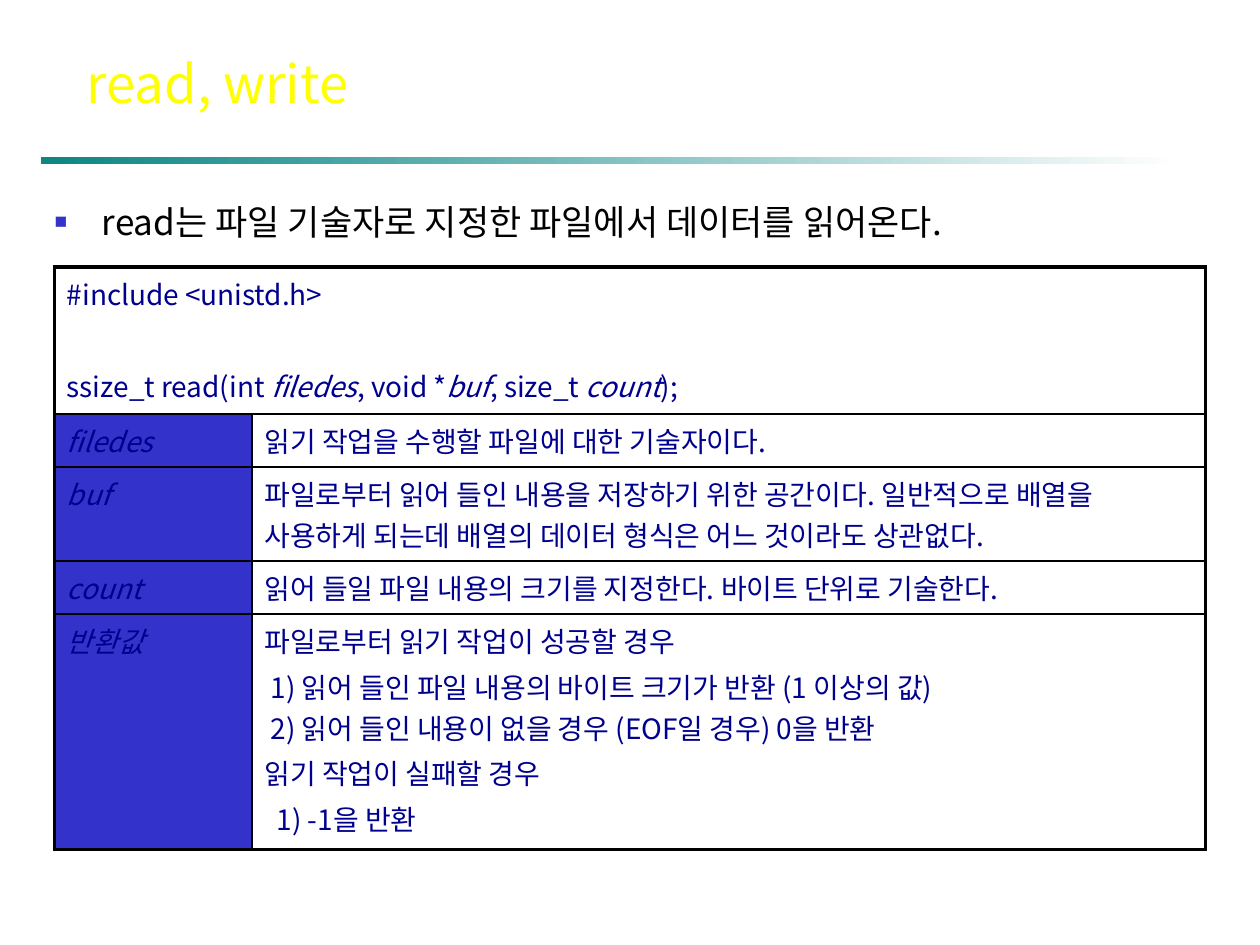
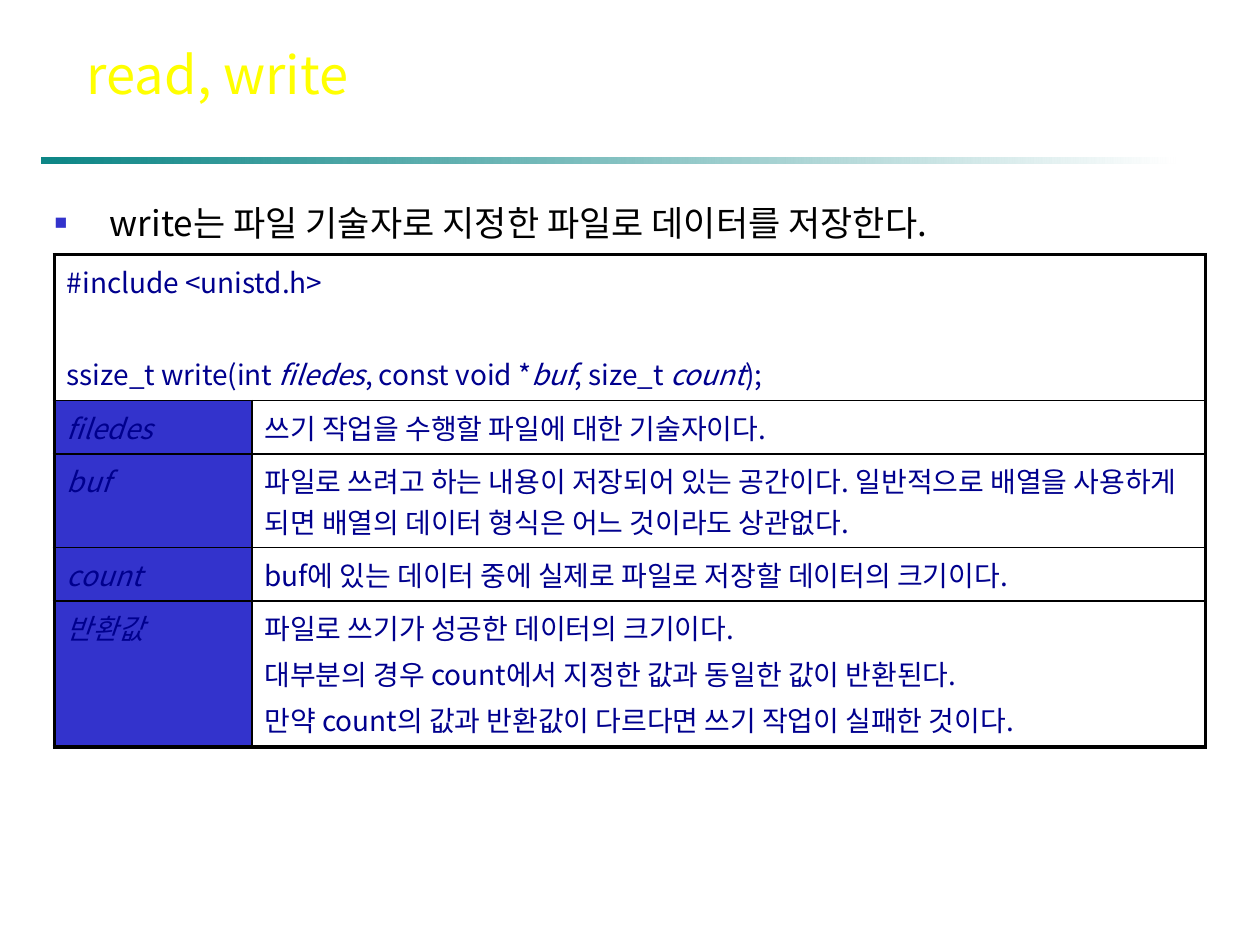
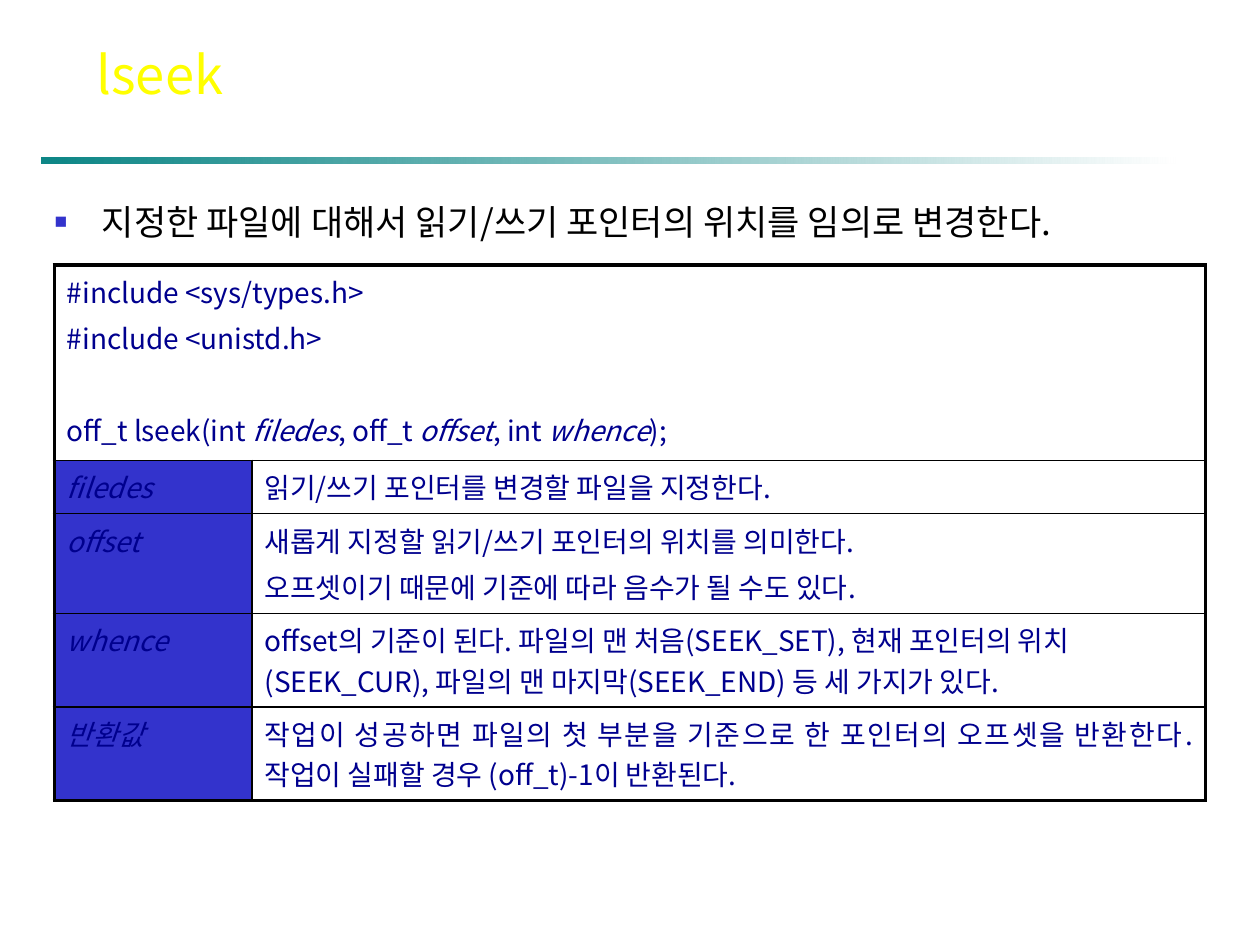
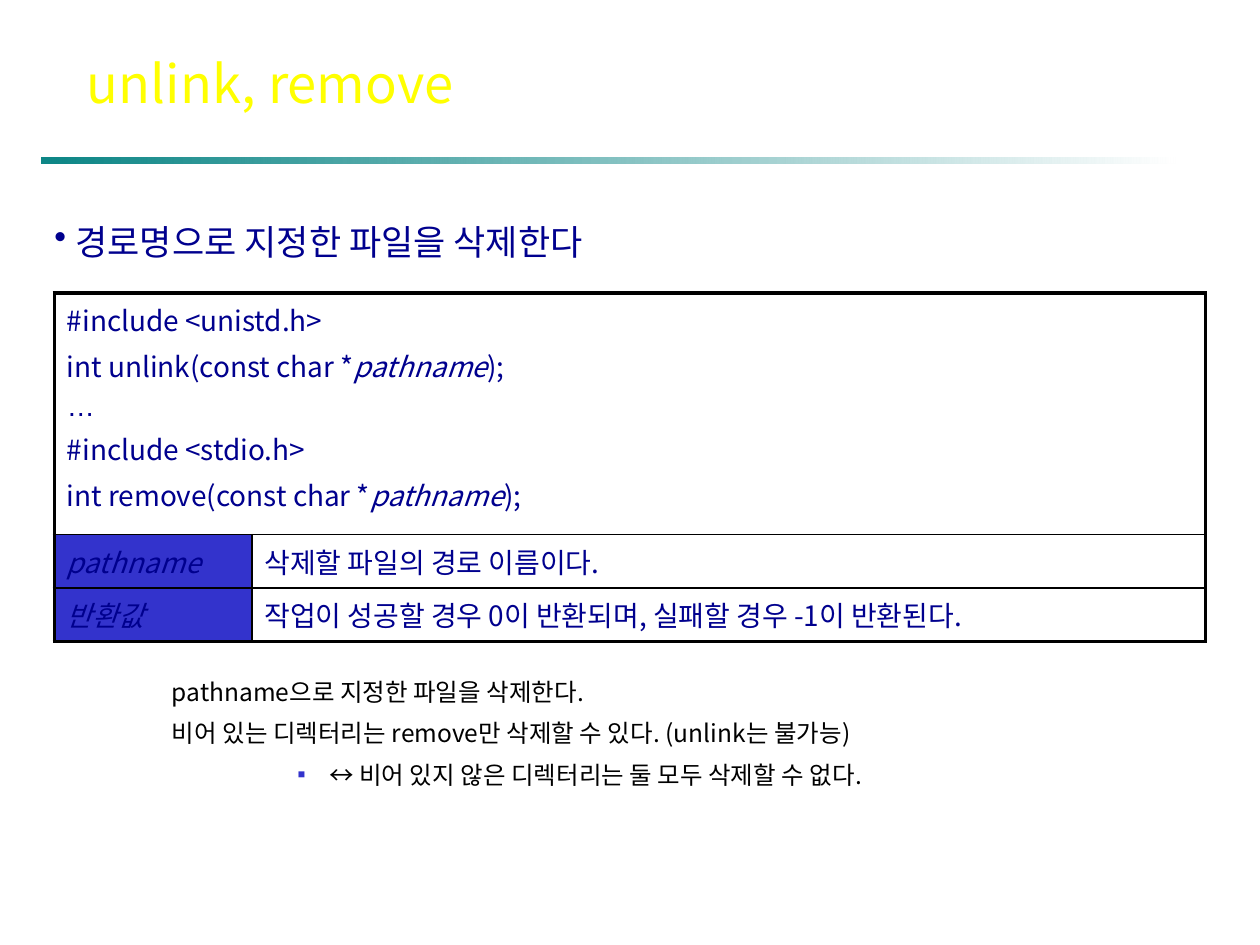
from lxml import etree
from pptx import Presentation
from pptx.dml.color import RGBColor
from pptx.enum.shapes import MSO_SHAPE
from pptx.enum.text import MSO_ANCHOR, MSO_AUTO_SIZE, PP_ALIGN
from pptx.oxml.ns import qn
from pptx.util import Pt

RECTANGLE = MSO_SHAPE.RECTANGLE
MIDDLE = MSO_ANCHOR.MIDDLE
NO_FIT = MSO_AUTO_SIZE.NONE
LEFT, JUSTIFY = PP_ALIGN.LEFT, PP_ALIGN.JUSTIFY

COLORS = {"title": "FFFF00", "text": "000000", "code": "00008E",
          "label": "3333CC", "teal": "008080", "white": "FFFFFF"}
FONT, ELLIPSIS_FONT = "Noto Sans CJK KR", "Arial"
THICK, THIN = 2.25, 1
CODE_SIZE = 16
CODE_GAP = 3.2      # space between paragraphs in a cell
BLANK_LINE = 29.6   # space that sets the prototype apart from its includes
LABEL_WIDTH, TEXT_WIDTH = 113, 545
TABLE_LEFT = 31
SUMMARY_BOX = (24, 111, 672, 34)


def rgb(name):
    return RGBColor.from_string(COLORS[name])


def add_element(parent, tag, **attributes):
    return etree.SubElement(parent, qn(tag), attributes)


def format_run(run, size, color, italic=False):
    font = run.font
    font.size, font.italic = Pt(size), italic
    font.color.rgb = rgb(color)
    font.name = ELLIPSIS_FONT if run.text == "…" else FONT
    add_element(font._element, "a:ea", typeface=FONT)


def set_indent(paragraph, margin, first=0):
    properties = paragraph._p.get_or_add_pPr()
    properties.set("marL", str(Pt(margin)))
    properties.set("indent", str(Pt(first)))
    return properties


def set_bullet(paragraph, margin, hanging, char, color, percent):
    properties = set_indent(paragraph, margin, -hanging)
    if not char:
        add_element(properties, "a:buNone")
        return
    clr = add_element(properties, "a:buClr")
    add_element(clr, "a:srgbClr", val=COLORS[color])
    add_element(properties, "a:buSzPct", val=str(percent * 1000))
    add_element(properties, "a:buChar", char=char)


def place(shape, box):
    shape.left, shape.top, shape.width, shape.height = map(Pt, box)
    frame = shape.text_frame
    frame.word_wrap, frame.auto_size = True, NO_FIT
    return frame


# Band under the title, shared through the layout
def add_band(slide, layout):
    band = slide.shapes.add_shape(RECTANGLE, Pt(24), Pt(90), Pt(648), Pt(3.6))
    band.shadow.inherit = False
    band.line.fill.background()
    band.fill.gradient()
    band.fill.gradient_angle = 0
    start, end = band.fill.gradient_stops
    start.position, end.position = 0, 1
    start.color.rgb, end.color.rgb = rgb("teal"), rgb("white")
    teal = next(band.element.iter(qn("a:srgbClr")))
    add_element(teal, "a:alpha", val="95000")
    layout.shapes.element.insert(2, band.element)


# Yellow title with a text shadow
def fill_title(slide, text, left, top):
    frame = place(slide.shapes.title, (left, top, 467, 49))
    frame.vertical_anchor = MIDDLE
    frame.text = text
    paragraph = frame.paragraphs[0]
    paragraph.alignment = LEFT
    run = paragraph.runs[0]
    format_run(run, 30, "title")
    effects = etree.Element(qn("a:effectLst"))
    shadow = add_element(effects, "a:outerShdw", dist=str(Pt(2)), dir="2700000")
    add_element(shadow, "a:srgbClr", val=COLORS["text"])
    run.font._element.find(qn("a:solidFill")).addnext(effects)


# One-line summary in the body placeholder
def fill_summary(slide, text, box=SUMMARY_BOX, margin=27):
    frame = place(slide.placeholders[1], box)
    frame.text = text
    paragraph = frame.paragraphs[0]
    set_bullet(paragraph, margin, margin, "■", "label", 60)
    paragraph.space_before = Pt(0)
    format_run(paragraph.runs[0], 20, "text")


# Summary in a text box, in the code colour
def add_code_summary(slide, text, box):
    frame = place(slide.shapes.add_textbox(*map(Pt, box)), box)
    frame.text = text
    paragraph = frame.paragraphs[0]
    set_bullet(paragraph, 12, 12, "•", "code", 100)
    format_run(paragraph.runs[0], 20, "code")


# Notes below the table: (text, level, margin, hanging, bullet)
def fill_notes(slide, notes, box):
    frame = place(slide.placeholders[1], box)
    frame.text = "\n".join(note[0] for note in notes)
    for i, (paragraph, note) in enumerate(zip(frame.paragraphs, notes)):
        _, level, margin, hanging, char = note
        paragraph.level = level
        set_bullet(paragraph, margin, hanging, char, "label", 50)
        paragraph.line_spacing = 1.3
        paragraph.space_before = Pt(2 if i else 0)
        format_run(paragraph.runs[0], 14, "text")


def set_borders(cell, widths):
    properties = cell._tc.get_or_add_tcPr()
    for side, width in widths.items():
        line = add_element(properties, "a:ln" + side, w=str(Pt(width)))
        add_element(add_element(line, "a:solidFill"), "a:srgbClr",
                    val=COLORS["text"])


# A line is a text, or (text, space before, indent); |bars| enclose italics
def fill_cell(cell, lines, alignment=LEFT):
    frame = cell.text_frame
    for i, line in enumerate(lines):
        text, gap, indent = (line, CODE_GAP, 0) if isinstance(line, str) else line
        paragraph = frame.add_paragraph() if i else frame.paragraphs[0]
        paragraph.alignment = alignment
        paragraph.space_before = Pt(gap if i else 0)
        if indent:
            set_indent(paragraph, indent)
        for j, part in enumerate(text.split("|")):
            if part:
                run = paragraph.add_run()
                run.text = part
                format_run(run, CODE_SIZE, "code", italic=j % 2 == 1)


# Function reference: code across the top, then a label and text per row
def add_reference(slide, top, heights, code, entries, justify_last=False):
    count = len(heights)
    table = slide.shapes.add_table(
        count, 2, Pt(TABLE_LEFT), Pt(top),
        Pt(LABEL_WIDTH + TEXT_WIDTH), Pt(sum(heights))).table
    table.first_row = table.horz_banding = False
    for column, width in zip(table.columns, (LABEL_WIDTH, TEXT_WIDTH)):
        column.width = Pt(width)
    for row, height in zip(table.rows, heights):
        row.height = Pt(height)
    table.cell(0, 0).merge(table.cell(0, 1))

    for r in range(count):
        for c in range(2):
            cell = table.cell(r, c)
            widths = {"L": THIN if c else THICK,
                      "R": THICK if c or r == 0 else THIN,
                      "T": THIN if r else THICK,
                      "B": THICK if r == count - 1 else THIN}
            if cell.is_spanned:
                del widths["L"]
            set_borders(cell, widths)
            if r and c == 0:
                cell.fill.solid()
                cell.fill.fore_color.rgb = rgb("label")
            else:
                cell.fill.background()

    fill_cell(table.cell(0, 0), code)
    for r, (label, lines) in enumerate(entries, 1):
        last = justify_last and r == count - 1
        fill_cell(table.cell(r, 0), [f"|{label}|"])
        fill_cell(table.cell(r, 1), lines, JUSTIFY if last else LEFT)


def build_read(slide):
    fill_title(slide, "read, write", 42.5, 22.5)
    fill_summary(slide, "read는 파일 기술자로 지정한 파일에서 데이터를 읽어온다.")
    add_reference(slide, 152.5, (84, 30.5, 53.5, 30.5, 134.5), [
        "#include <unistd.h>",
        ("ssize_t read(int |filedes|, void *|buf|, size_t |count|);", BLANK_LINE, 0),
    ], [
        ("filedes", ["읽기 작업을 수행할 파일에 대한 기술자이다."]),
        ("buf", ["파일로부터 읽어 들인 내용을 저장하기 위한 공간이다. 일반적으로 배열을 "
                 "사용하게 되는데 배열의 데이터 형식은 어느 것이라도 상관없다."]),
        ("count", ["읽어 들일 파일 내용의 크기를 지정한다. 바이트 단위로 기술한다."]),
        ("반환값", [
            "파일로부터 읽기 작업이 성공할 경우",
            ("1) 읽어 들인 파일 내용의 바이트 크기가 반환 (1 이상의 값)", CODE_GAP, 3.5),
            ("2) 읽어 들인 내용이 없을 경우 (EOF일 경우) 0을 반환", 0, 3.5),
            "읽기 작업이 실패할 경우",
            ("1) -1을 반환", CODE_GAP, 7)]),
    ])


def build_write(slide):
    fill_title(slide, "read, write", 42.5, 17.5)
    fill_summary(slide, "write는 파일 기술자로 지정한 파일로 데이터를 저장한다.",
                 (24, 111.5, 672, 428), margin=31.5)
    add_reference(slide, 145.5, (83.5, 30.5, 53.5, 30.5, 83.5), [
        "#include <unistd.h>",
        ("ssize_t write(int |filedes|, const void *|buf|, size_t |count|);",
         BLANK_LINE, 0),
    ], [
        ("filedes", ["쓰기 작업을 수행할 파일에 대한 기술자이다."]),
        ("buf", ["파일로 쓰려고 하는 내용이 저장되어 있는 공간이다. 일반적으로 배열을 "
                 "사용하게 되면 배열의 데이터 형식은 어느 것이라도 상관없다."]),
        ("count", ["buf에 있는 데이터 중에 실제로 파일로 저장할 데이터의 크기이다."]),
        ("반환값", ["파일로 쓰기가 성공한 데이터의 크기이다.",
                 "대부분의 경우 count에서 지정한 값과 동일한 값이 반환된다.",
                 "만약 count의 값과 반환값이 다르다면 쓰기 작업이 실패한 것이다."]),
    ], justify_last=True)


def build_lseek(slide):
    fill_title(slide, "lseek", 48, 17.5)
    fill_summary(slide, "지정한 파일에 대해서 읽기/쓰기 포인터의 위치를 임의로 변경한다.",
                 (24, 111, 672, 40))
    add_reference(slide, 151.5, (111.5, 30.5, 57, 53.5, 53.5), [
        "#include <sys/types.h>",
        "#include <unistd.h>",
        ("off_t lseek(int |filedes|, off_t |offset|, int |whence|);", BLANK_LINE, 0),
    ], [
        ("filedes", ["읽기/쓰기 포인터를 변경할 파일을 지정한다."]),
        ("offset", ["새롭게 지정할 읽기/쓰기 포인터의 위치를 의미한다.",
                    "오프셋이기 때문에 기준에 따라 음수가 될 수도 있다."]),
        ("whence", ["offset의 기준이 된다. 파일의 맨 처음(SEEK_SET), 현재 포인터의 "
                    "위치(SEEK_CUR), 파일의 맨 마지막(SEEK_END) 등 세 가지가 있다."]),
        ("반환값", ["작업이 성공하면 파일의 첫 부분을 기준으로 한 포인터의 오프셋을 "
                 "반환한다. 작업이 실패할 경우 (off_t)-1이 반환된다."]),
    ], justify_last=True)


def build_unlink(slide):
    fill_title(slide, "unlink, remove", 42.5, 22.5)
    add_code_summary(slide, "경로명으로 지정한 파일을 삭제한다", (24, 122.5, 672, 34))
    add_reference(slide, 167.5, (138, 30.5, 30.5), [
        "#include <unistd.h>",
        "int unlink(const char *|pathname|);",
        "…",
        "#include <stdio.h>",
        "int remove(const char *|pathname|);",
    ], [
        ("pathname", ["삭제할 파일의 경로 이름이다."]),
        ("반환값", ["작업이 성공할 경우 0이 반환되며, 실패할 경우 -1이 반환된다."]),
    ])
    fill_notes(slide, [
        ("pathname으로 지정한 파일을 삭제한다.", 0, 27, 27, None),
        ("비어 있는 디렉터리는 remove만 삭제할 수 있다. (unlink는 불가능)",
         0, 27, 27, None),
        ("↔ 비어 있지 않은 디렉터리는 둘 모두 삭제할 수 없다.", 2, 90, 18, "■"),
    ], (91, 378, 604, 96.5))


def main():
    deck = Presentation()
    deck.slide_width, deck.slide_height = Pt(720), Pt(540)
    layout = deck.slide_layouts[1]
    for i, build in enumerate((build_read, build_write, build_lseek, build_unlink)):
        slide = deck.slides.add_slide(layout)
        if i == 0:
            add_band(slide, layout)
        build(slide)
    deck.save("out.pptx")


if __name__ == "__main__":
    main()
